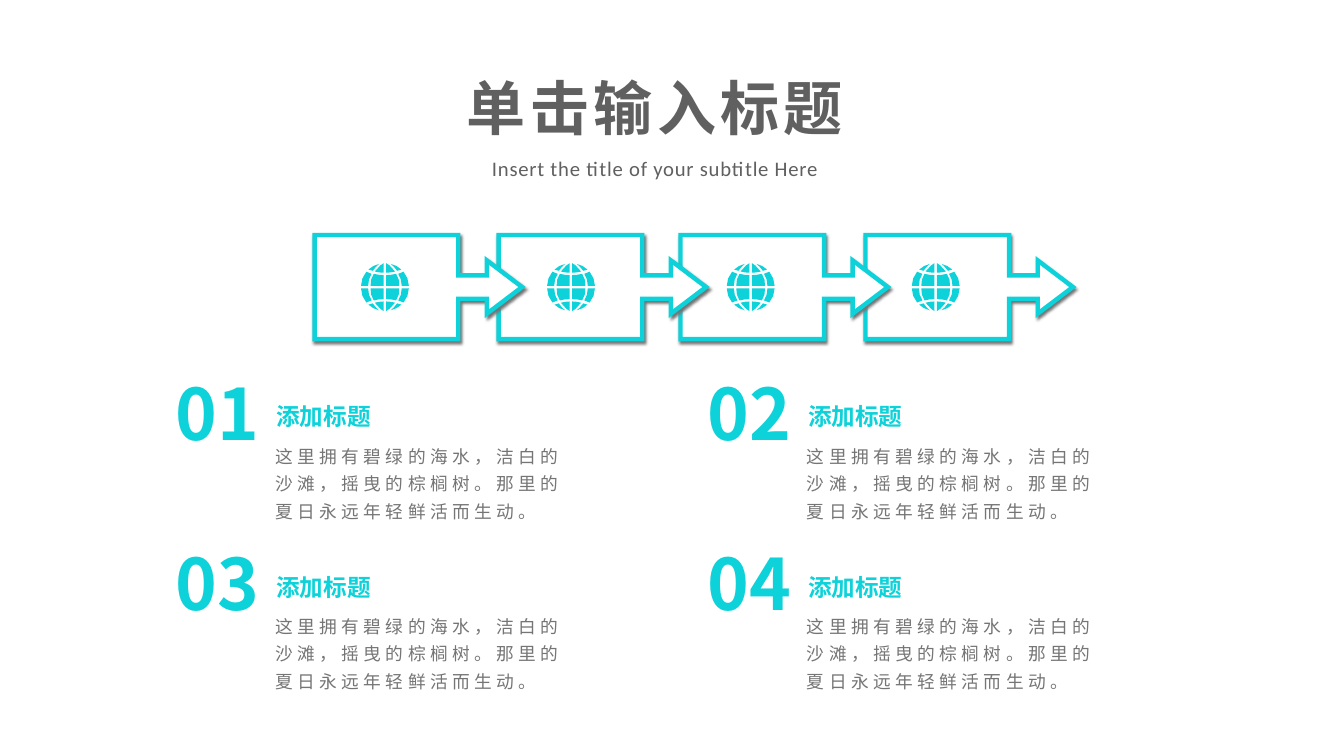
"""Build a slide with four chained arrow boxes and four numbered notes."""
from lxml.etree import SubElement
from pptx import Presentation
from pptx.dml.color import RGBColor
from pptx.enum.text import MSO_ANCHOR, MSO_AUTO_SIZE, PP_ALIGN
from pptx.oxml.ns import qn
from pptx.util import Inches, Pt

CYAN = RGBColor(0x0D, 0xD2, 0xD9)
DARK_GREY = RGBColor(0x60, 0x60, 0x60)
GREY = RGBColor(0x75, 0x75, 0x75)
WHITE = RGBColor(0xFF, 0xFF, 0xFF)
CHINESE_FONT = "Noto Sans CJK SC"
NOTE = "这里拥有碧绿的海水，洁白的沙滩，摇曳的棕榈树。那里的夏日永远年轻鲜活而生动。"

ARROW_BOX = [(0, 0), (135, 0), (135, 38), (162, 38), (162, 24), (195, 49),
             (162, 74), (162, 60), (135, 60), (135, 98), (0, 98)]
GLOBE_QUARTER = [
    [(12, 12), (135, 12), (130, 70), (105, 125), (60, 116), (12, 113)],
    [(158, 12), (225, 12), (212, 82), (175, 145), (125, 125), (150, 72)],
    [(12, 135), (55, 138), (95, 147), (65, 180), (42, 205), (12, 225)],
    [(115, 153), (155, 165), (110, 198), (55, 218), (85, 190)],
]


def write(shape, text, box, size, color, bold=False, spacing=0,
          font_name=CHINESE_FONT, align=PP_ALIGN.LEFT, line_spacing=1.13):
    shape.left, shape.top, shape.width, shape.height = [Inches(n) for n in box]
    frame = shape.text_frame
    frame.text = text
    frame.word_wrap = True
    frame.auto_size = MSO_AUTO_SIZE.SHAPE_TO_FIT_TEXT
    frame.vertical_anchor = MSO_ANCHOR.TOP
    frame.margin_left = frame.margin_right = Inches(0.03)
    frame.margin_top = frame.margin_bottom = Inches(0.01)
    paragraph = frame.paragraphs[0]
    paragraph.alignment = align
    paragraph.line_spacing = line_spacing
    paragraph.font.size = Pt(size)
    paragraph.font.bold = bold
    paragraph.font.color.rgb = color
    paragraph.font.name = font_name
    properties = paragraph._p.pPr.find(qn("a:defRPr"))
    properties.set("spc", str(int(spacing * 100)))
    SubElement(properties, qn("a:ea"), typeface=font_name)


presentation = Presentation()
presentation.slide_width = Inches(12.64)
presentation.slide_height = Inches(7.11)
slide = presentation.slides.add_slide(presentation.slide_layouts[5])
shapes = slide.shapes

write(shapes.title, "单击输入标题", (4.19, 0.58, 3.94, 0.81), 40, DARK_GREY,
      bold=True, spacing=3, align=PP_ALIGN.CENTER)
write(shapes.add_textbox(0, 0, 0, 0), "Insert the title of your subtitle Here",
      (4.32, 1.43, 3.68, 0.31), 14, DARK_GREY, spacing=0.5,
      font_name="Calibri", align=PP_ALIGN.CENTER)

for left in (8.14, 6.4, 4.69, 2.96):
    builder = shapes.build_freeform(*ARROW_BOX[0], scale=Inches(0.01))
    builder.add_line_segments(ARROW_BOX[1:], close=True)
    arrow_box = builder.convert_to_shape(Inches(left), Inches(2.21))
    arrow_box.fill.solid()
    arrow_box.fill.fore_color.rgb = WHITE
    arrow_box.line.color.rgb = CYAN
    arrow_box.line.width = Pt(3)
    properties = arrow_box._element.spPr
    SubElement(properties.find(qn("a:ln")), qn("a:miter"), lim="800000")
    arrow_box.shadow.inherit = False
    shadow = SubElement(properties.find(qn("a:effectLst")), qn("a:outerShdw"),
                        blurRad=str(Pt(2)), dist=str(Pt(2)),
                        dir=str(63 * 60000), algn="tl", rotWithShape="0")
    SubElement(shadow, qn("a:srgbClr"), val=str(GREY))

for center in (3.62, 5.37, 7.06, 8.8):
    builder = shapes.build_freeform(0, 0, scale=Inches(0.001))
    for x_sign, y_sign in ((1, 1), (-1, 1), (-1, -1), (1, -1)):
        for piece in GLOBE_QUARTER:
            points = [(x * x_sign, y * y_sign) for x, y in piece]
            builder.move_to(*points[0])
            builder.add_line_segments(points[1:], close=True)
    globe = builder.convert_to_shape(Inches(center), Inches(2.7))
    globe.fill.solid()
    globe.fill.fore_color.rgb = CYAN
    globe.line.fill.background()
    globe.shadow.inherit = False

for index in range(4):
    row, column = divmod(index, 2)
    left, top = 1.53 + 5 * column, 3.36 + 1.6 * row
    write(shapes.add_textbox(0, 0, 0, 0), f"{index + 1:02d}",
          (left, top, 1.03, 1), 48, CYAN, bold=True, align=PP_ALIGN.CENTER)
    write(shapes.add_textbox(0, 0, 0, 0), NOTE,
          (left + 1.03, top + 0.76, 2.96, 0.84), 12, GREY, spacing=3,
          line_spacing=1.3)
    write(shapes.add_textbox(0, 0, 0, 0), "添加标题",
          (left + 1.04, top + 0.38, 1.99, 0.33), 16, CYAN, bold=True)

presentation.save("out.pptx")
